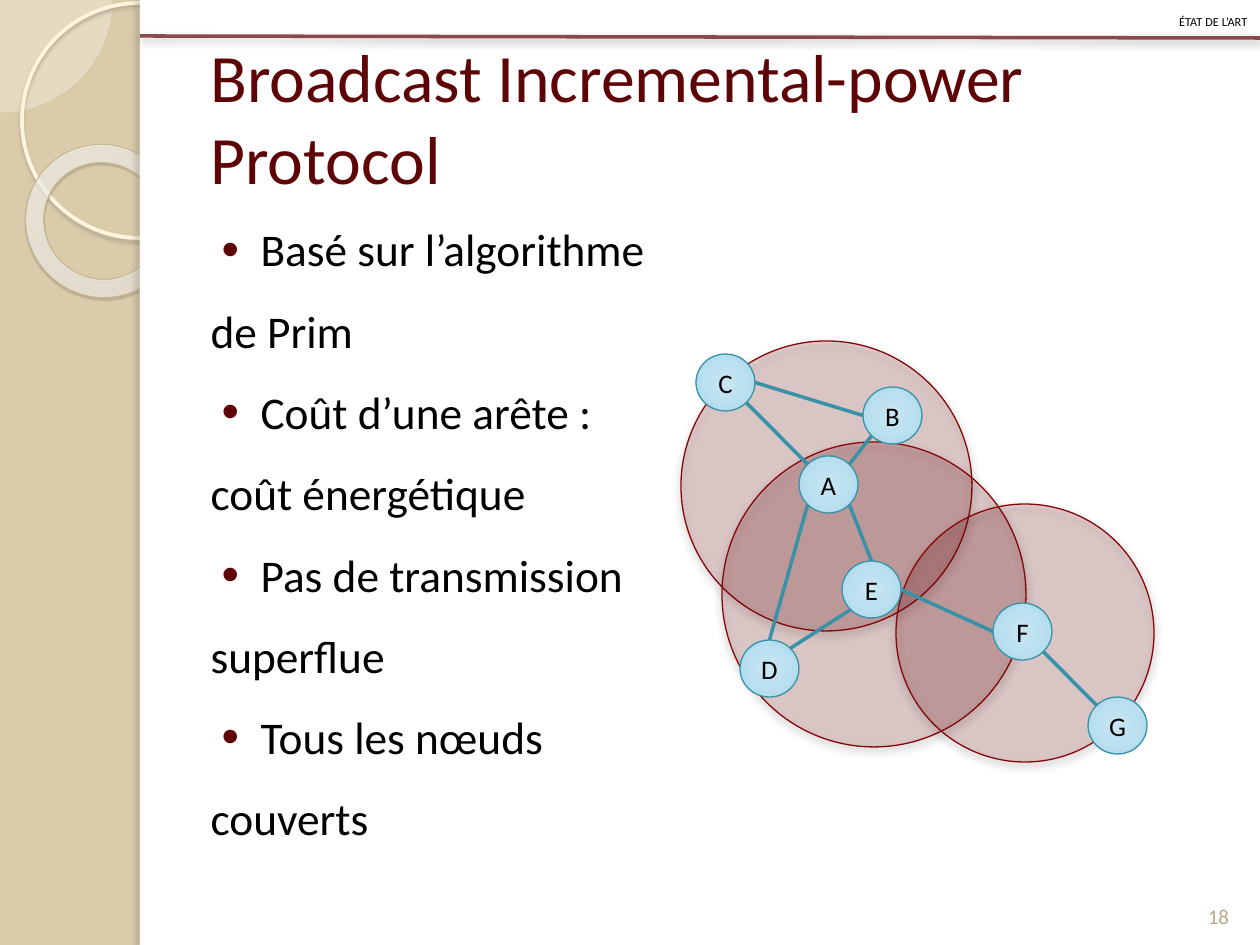
from math import cos, radians, sin

from lxml.etree import SubElement
from pptx import Presentation
from pptx.dml.color import RGBColor
from pptx.enum.shapes import MSO_CONNECTOR, MSO_SHAPE
from pptx.enum.text import MSO_ANCHOR, MSO_AUTO_SIZE, PP_ALIGN
from pptx.oxml.ns import qn
from pptx.util import Emu, Pt

SCALE = 914400 / 126
FONT = "Calibri"
COLOURS = {
    "sand": "DACCAB", "cream": "FEFAF4", "pie_edge": "D3C39F", "ring": "FFF5DE",
    "ring_shadow": "B0A68F", "donut_edge": "C7B893", "donut_shadow": "5A5444",
    "white": "FFFFFF", "panel_shadow": "736F63", "wine": "5F0406", "black": "000000",
    "number": "B6A98A", "range": "860609", "teal": "3891A7",
}
DONUT_STOPS = [(0, "FFFCF6", 70), (70, "FFFEFB", 55), (100, "F0D28E", 60)]
NODE_STOPS = [(0, "C9E6F2", 100), (50, "BBE0EF", 100), (97, "A4D8ED", 100), (100, "9BD7EE", 100)]
SOFT_SHADOW = ("black", 43, 5, 2, 90)
NODE_WIDTH, NODE_HEIGHT = 59, 57
RANGES = [(681, 341, 291, 290), (722, 442, 304, 305), (896, 504, 258, 258)]
NODES = {
    "A": (799, 456), "B": (863, 387), "C": (696, 354), "D": (740, 640),
    "E": (842, 561), "F": (993, 603), "G": (1088, 697),
}
EDGES = [
    ("C", 45, "A", 225), ("A", 315, "B", 135), ("A", 45, "E", 270), ("A", 135, "D", 270),
    ("D", 315, "E", 135), ("E", 0, "F", 180), ("B", 180, "C", 0), ("F", 45, "G", 225),
]
ITEMS = [
    ("Basé sur l’algorithme", "de Prim"),
    ("Coût d’une arête :", "coût énergétique"),
    ("Pas de transmission", "superflue"),
    ("Tous les nœuds", "couverts"),
]


def px(value):
    return Emu(round(value * SCALE))


def colour(name):
    return RGBColor.from_string(COLOURS[name])


def add_alpha(parent, percent):
    for element in parent.iter(qn("a:srgbClr")):
        SubElement(element, qn("a:alpha"), val=str(percent * 1000))


def add_effects(shape, shadow=None):
    effects = SubElement(shape.element.spPr, qn("a:effectLst"))
    if shadow:
        name, alpha, blur, distance, angle = shadow
        outer = SubElement(effects, qn("a:outerShdw"), blurRad=str(Pt(blur)),
                           dist=str(Pt(distance)), dir=str(angle * 60000),
                           algn="tl", rotWithShape="0")
        SubElement(outer, qn("a:srgbClr"), val=COLOURS[name])
        add_alpha(outer, alpha)


def set_gradient(shape, stops, focus):
    shape.fill.background()
    properties = shape.element.spPr
    empty = properties.find(qn("a:noFill"))
    gradient = SubElement(properties, qn("a:gradFill"), rotWithShape="1")
    stop_list = SubElement(gradient, qn("a:gsLst"))
    for position, code, alpha in stops:
        stop = SubElement(stop_list, qn("a:gs"), pos=str(position * 1000))
        SubElement(stop, qn("a:srgbClr"), val=code)
        add_alpha(stop, alpha)
    circle = SubElement(gradient, qn("a:path"), path="circle")
    edges = {side: str(value * 1000) for side, value in zip("ltrb", focus)}
    SubElement(circle, qn("a:fillToRect"), **edges)
    properties.replace(empty, gradient)


def add_figure(slide, kind, bounds, fill=None, alpha=100, gradient=None, line=None, shadow=None):
    shape = slide.shapes.add_shape(kind, *map(px, bounds))
    if gradient:
        set_gradient(shape, *gradient)
    elif fill:
        shape.fill.solid()
        shape.fill.fore_color.rgb = colour(fill)
        add_alpha(shape.element.spPr, alpha)
    else:
        shape.fill.background()
    if line:
        shape.line.color.rgb = colour(line[0])
        shape.line.width = Pt(line[1])
    else:
        shape.line.fill.background()
    add_effects(shape, shadow)
    return shape


def add_line(slide, start, end, name, alpha=100, shadow=None):
    line = slide.shapes.add_connector(MSO_CONNECTOR.STRAIGHT, *map(px, start + end))
    line.line.color.rgb = colour(name)
    line.line.width = Pt(2)
    add_alpha(line.element.spPr, alpha)
    add_effects(line, shadow)


def format_text(box, size, name, align=PP_ALIGN.LEFT, anchor=MSO_ANCHOR.TOP):
    frame = box.text_frame
    frame.word_wrap = True
    frame.auto_size = MSO_AUTO_SIZE.NONE
    frame.vertical_anchor = anchor
    for para in frame.paragraphs:
        para.alignment = align
        for span in para.runs:
            span.font.name = FONT
            span.font.size = Pt(size)
            span.font.color.rgb = colour(name)


def place(box, bounds):
    box.left, box.top, box.width, box.height = map(px, bounds)
    box.element.getparent().append(box.element)


def set_bullet(para, shown):
    properties = para._p.get_or_add_pPr()
    properties.set("marL", str(px(50 if shown else 0)))
    properties.set("indent", str(px(-39 if shown else 0)))
    if shown:
        bullet_colour = SubElement(properties, qn("a:buClr"))
        SubElement(bullet_colour, qn("a:srgbClr"), val=COLOURS["wine"])
        SubElement(properties, qn("a:buSzPct"), val="110000")
        SubElement(properties, qn("a:buFont"), typeface="Arial")
        SubElement(properties, qn("a:buChar"), char="•")
    else:
        SubElement(properties, qn("a:buNone"))


def set_paragraphs(box, spacing, bulleted):
    for index, para in enumerate(box.text_frame.paragraphs):
        para.line_spacing = spacing
        para.space_before = Pt(6)
        set_bullet(para, bulleted and index % 2 == 0)


def add_background(slide):
    slide.background.fill.solid()
    slide.background.fill.fore_color.rgb = colour("sand")
    pie = add_figure(slide, MSO_SHAPE.PIE, (-113, -113, 226, 226), "cream", 33,
                     line=("pie_edge", 0.25))
    pie.adjustments[0] = 0
    pie.adjustments[1] = 54
    add_figure(slide, MSO_SHAPE.OVAL, (22, 3, 235, 235), line=("ring", 2.15),
               shadow=("ring_shadow", 85, 2, 2, 90))
    donut = add_figure(slide, MSO_SHAPE.DONUT, (25, 145, 155, 152),
                       gradient=(DONUT_STOPS, (-408, -50, 508, 150)),
                       line=("donut_edge", 0.58), shadow=("donut_shadow", 35, 1, 1.2, 75))
    donut.adjustments[0] = 0.12
    donut.rotation = 38.6
    add_figure(slide, MSO_SHAPE.RECTANGLE, (140, 0, 1120, 945), "white")
    add_figure(slide, MSO_SHAPE.RECTANGLE, (140, 0, 10, 945), "white",
               shadow=("panel_shadow", 25, 3, 3, 180))
    add_line(slide, (140, 36), (1260, 38), "wine", 70, SOFT_SHADOW)


def add_texts(slide):
    title, body, header = slide.placeholders
    title.text_frame.text = "Broadcast Incremental-power Protocol"
    place(title, (198, 38, 1033, 157))
    format_text(title, 38.7, "wine", anchor=MSO_ANCHOR.MIDDLE)

    body.text_frame.text = "\n".join(line for item in ITEMS for line in item)
    place(body, (198, 199, 1033, 662))
    format_text(body, 25.9, "black")
    set_paragraphs(body, 1.3, True)

    number = slide.shapes.add_textbox(*map(px, (1187, 869, 63, 66)))
    number.text_frame.text = "18"
    format_text(number, 12, "number", PP_ALIGN.CENTER, MSO_ANCHOR.BOTTOM)

    header.text_frame.text = "état de l’art"
    place(header, (0, 0, 1260, 37))
    format_text(header, 8.8, "black", PP_ALIGN.RIGHT, MSO_ANCHOR.MIDDLE)
    set_paragraphs(header, 1.2, False)
    header.text_frame.paragraphs[0].runs[0].font._element.set("cap", "small")


def add_node(slide, label, corner):
    node = add_figure(slide, MSO_SHAPE.OVAL, (*corner, NODE_WIDTH, NODE_HEIGHT),
                      gradient=(NODE_STOPS, (50, 50, 50, 50)), line=("teal", 0.75))
    node.text_frame.text = label
    format_text(node, 15.3, "black", PP_ALIGN.CENTER, MSO_ANCHOR.MIDDLE)


def rim_point(label, angle):
    left, top = NODES[label]
    return (left + NODE_WIDTH / 2 * (1 + cos(radians(angle))),
            top + NODE_HEIGHT / 2 * (1 + sin(radians(angle))))


def add_network(slide):
    for bounds in RANGES:
        add_figure(slide, MSO_SHAPE.OVAL, bounds, "range", 17,
                   line=("range", 0.75), shadow=SOFT_SHADOW)
    for label, corner in NODES.items():
        add_node(slide, label, corner)
    for start, start_angle, end, end_angle in EDGES:
        add_line(slide, rim_point(start, start_angle), rim_point(end, end_angle), "teal")


def main():
    deck = Presentation()
    deck.slide_width, deck.slide_height = px(1260), px(945)
    slide = deck.slides.add_slide(deck.slide_layouts[3])
    add_background(slide)
    add_texts(slide)
    add_network(slide)
    deck.save("out.pptx")


if __name__ == "__main__":
    main()
